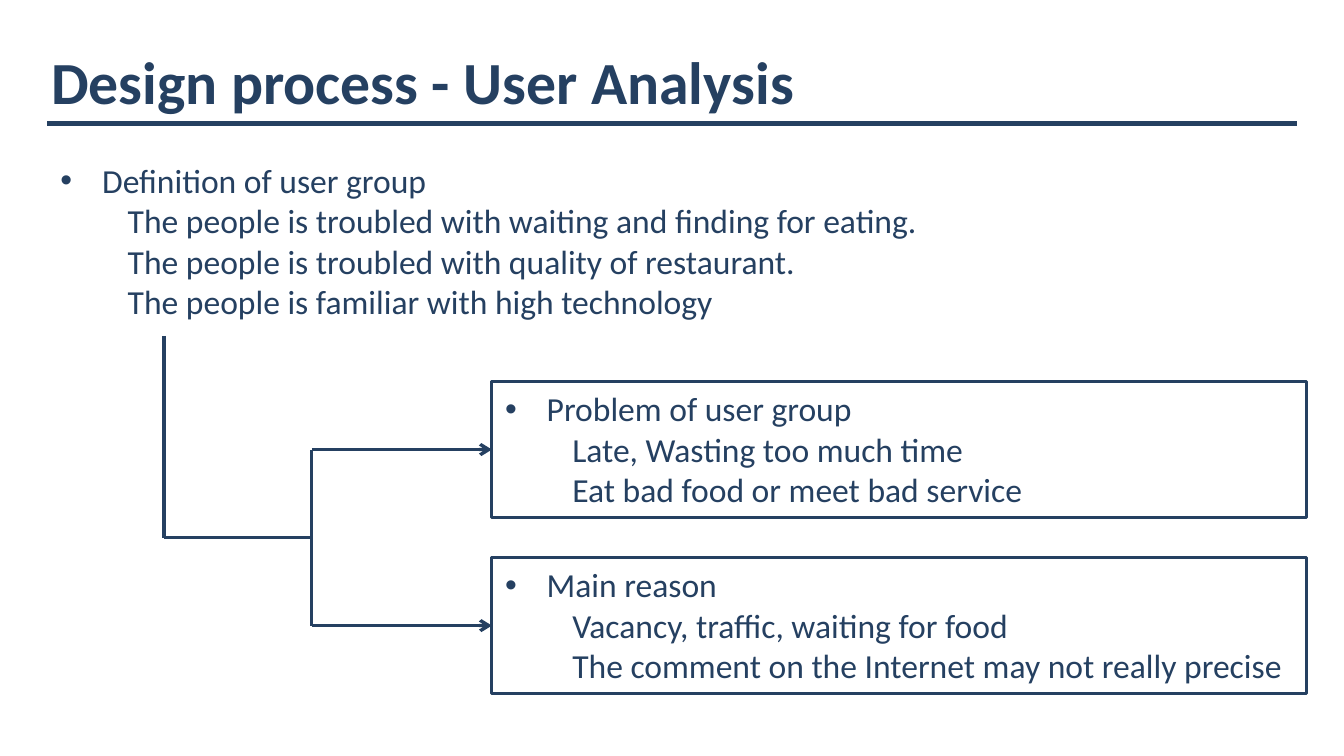
from lxml import etree
from pptx import Presentation
from pptx import util as u
from pptx.dml.color import RGBColor
from pptx.enum import shapes, text
from pptx.oxml import ns

NAVY = RGBColor(0x25, 0x40, 0x61)

# Layout in inches, on a 16:9 slide
WIDTH = 10
HEIGHT = WIDTH * 9 / 16
MARGIN = 0.35
RULE_Y = 0.92
BOX_LEFT, BOX_TOP, BOX_STEP = 3.66, 2.84, 1.31
BOX_WIDTH, BOX_HEIGHT = 6.06, 1.01
TRUNK_X, TRUNK_TOP, FORK_X = 1.22, 2.5, 2.32

# Line widths in points
THIN, THICK = 1.75, 3

DEFINITION = (
    "Definition of user group",
    "The people is troubled with waiting and finding for eating.",
    "The people is troubled with quality of restaurant.",
    "The people is familiar with high technology",
)
FINDINGS = (
    ("Problem of user group",
     "Late, Wasting too much time",
     "Eat bad food or meet bad service"),
    ("Main reason",
     "Vacancy, traffic, waiting for food",
     "The comment on the Internet may not really precise"),
)


def set_format(target, **values):
    for name, value in values.items():
        setattr(target, name, value)


def place(shape, left, top, width, height):
    set_format(shape, left=u.Inches(left), top=u.Inches(top),
               width=u.Inches(width), height=u.Inches(height))


def style_font(paragraph, size, bold=False):
    set_format(paragraph.font, name="Calibri", size=u.Pt(size), bold=bold)
    paragraph.font.color.rgb = NAVY


def style_line(line, weight):
    line.color.rgb = NAVY
    line.width = u.Pt(weight)


def set_bullet(paragraph, indent, hanging, char=None):
    properties = paragraph._p.get_or_add_pPr()
    properties.set("marL", str(u.Inches(indent)))
    properties.set("indent", str(-u.Inches(hanging)))
    if char:
        font = etree.SubElement(properties, ns.qn("a:buFont"))
        font.set("typeface", "Arial")
        etree.SubElement(properties, ns.qn("a:buChar")).set("char", char)
    else:
        etree.SubElement(properties, ns.qn("a:buNone"))


def write_text(frame, wording):
    set_format(frame, text=wording, word_wrap=True,
               vertical_anchor=text.MSO_ANCHOR.TOP,
               auto_size=text.MSO_AUTO_SIZE.SHAPE_TO_FIT_TEXT)
    for paragraph in frame.paragraphs:
        set_format(paragraph, alignment=text.PP_ALIGN.LEFT, space_before=u.Pt(0))


def write_list(frame, lines):
    """Write a bulleted heading followed by indented plain lines."""
    write_text(frame, "\n".join(lines))
    heading, *details = frame.paragraphs
    set_bullet(heading, 0.31, 0.31, "•")
    for detail in details:
        detail.level = 1
        set_bullet(detail, 0.5, 0)
    for paragraph in frame.paragraphs:
        style_font(paragraph, 18)


def add_line(slide, start, end, weight=THIN, arrow_to=None):
    """Draw a line; with arrow_to, it ends in an arrow on that box's left side."""
    points = [u.Inches(value) for value in (*start, *end)]
    line = slide.shapes.add_connector(shapes.MSO_CONNECTOR.STRAIGHT, *points)
    style_line(line.line, weight)
    if arrow_to is not None:
        line.end_connect(arrow_to, 1)
        outline = line.line._get_or_add_ln()
        etree.SubElement(outline, ns.qn("a:tailEnd")).set("type", "arrow")
    etree.SubElement(line._element.spPr, ns.qn("a:effectLst"))


def add_finding(slide, top, lines):
    box = slide.shapes.add_shape(
        shapes.MSO_SHAPE.RECTANGLE, u.Inches(BOX_LEFT), u.Inches(top),
        u.Inches(BOX_WIDTH), u.Inches(BOX_HEIGHT))
    box.shadow.inherit = False
    box.fill.background()
    style_line(box.line, THIN)
    write_list(box.text_frame, lines)
    return box


def add_title(slide, wording):
    title = slide.shapes.title
    place(title, 0.28, 0.28, 6.93, 0.64)
    write_text(title.text_frame, wording)
    style_font(title.text_frame.paragraphs[0], 32, bold=True)


def main():
    deck = Presentation()
    set_format(deck, slide_width=u.Inches(WIDTH), slide_height=u.Inches(HEIGHT))
    slide = deck.slides.add_slide(deck.slide_layouts[1])

    # Title, definition list and rule
    add_title(slide, "Design process - User Analysis")
    definition = slide.placeholders[1]
    place(definition, MARGIN, 1.14, 7.32, 1.62)
    write_list(definition.text_frame, DEFINITION)
    add_line(slide, (MARGIN, RULE_Y), (WIDTH - MARGIN, RULE_Y), THICK)

    # Boxes with their arrows
    branches = []
    for row, lines in enumerate(FINDINGS):
        top = BOX_TOP + row * BOX_STEP
        box = add_finding(slide, top, lines)
        middle = top + BOX_HEIGHT / 2
        add_line(slide, (FORK_X, middle), (BOX_LEFT, middle), arrow_to=box)
        branches.append(middle)

    # Fork and trunk leading from the definition to the boxes
    fork_y = sum(branches) / len(branches)
    add_line(slide, (FORK_X, branches[0]), (FORK_X, branches[-1]))
    add_line(slide, (TRUNK_X, TRUNK_TOP), (TRUNK_X, fork_y))
    add_line(slide, (TRUNK_X, fork_y), (FORK_X, fork_y))

    deck.save("out.pptx")


if __name__ == "__main__":
    main()
